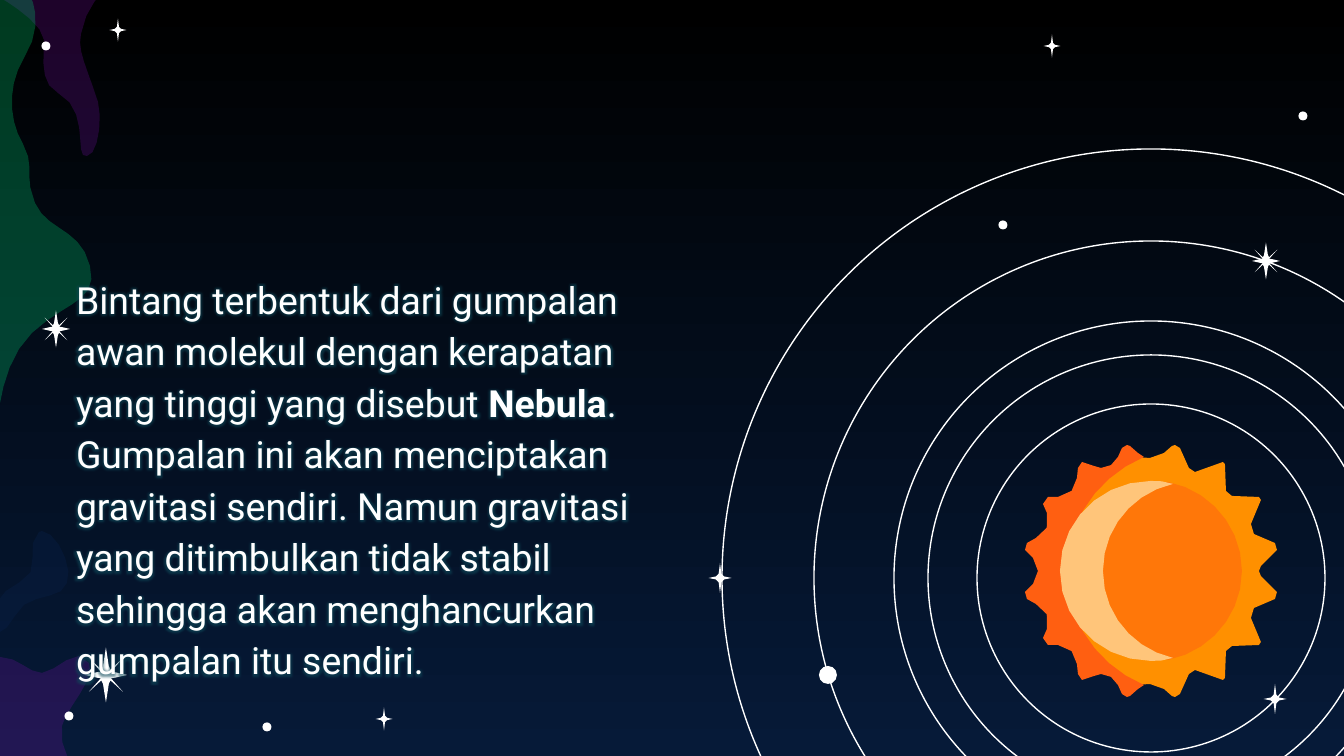
import math
from dataclasses import dataclass

import pptx
import pptx.dml.color
import pptx.enum.shapes
import pptx.enum.text
import pptx.oxml
import pptx.oxml.ns
import pptx.util

SCALE = 914400 / 134.4  # EMU per px
Point = tuple[float, float]


@dataclass(frozen=True)
class Theme:
    sky_top: str = "000000"
    sky_bottom: str = "061A38"
    white: str = "FFFFFF"
    purple: str = "740FA3"
    navy: str = "08214A"
    green: str = "00C970"
    sun_body: str = "FF9000"
    sun_rim: str = "FF5F11"
    sun_disc: str = "FF7709"
    sun_crescent: str = "FFC57A"
    glow: str = "0E4A5A"
    font: str = "Roboto"
    body_pt: int = 20
    orbit_pt: float = 0.75


@dataclass(frozen=True)
class Layer:
    """Filled outline; a mirrored one gives only its upper half."""
    outline: str
    color: str
    alpha: int = 100
    mirror_y: int | None = None


@dataclass(frozen=True)
class Star:
    x: int
    y: int
    width: int
    height: int
    quadrant: tuple[Point, ...]


@dataclass(frozen=True)
class Dot:
    x: int
    y: int
    size: int = 9


THEME = Theme()


def emu(px: float) -> int:
    return round(px * SCALE)


def rgb(color: str) -> pptx.dml.color.RGBColor:
    return pptx.dml.color.RGBColor.from_string(color)


def paint(shape, color: str, alpha: int = 100) -> None:
    shape.shadow.inherit = False
    shape.line.fill.background()
    shape.fill.solid()
    shape.fill.fore_color.rgb = rgb(color)
    if alpha < 100:
        tint = shape.element.spPr.find(".//" + pptx.oxml.ns.qn("a:srgbClr"))
        tint.append(pptx.oxml.parse_xml(
            f'<a:alpha {pptx.oxml.ns.nsdecls("a")} val="{alpha * 1000}"/>'))


def trace(outline: str) -> list[Point]:
    """Turn M, L and C commands in px into points, with more on longer curves."""
    words = iter(outline.split())
    points: list[Point] = []
    for command in words:
        count = 3 if command == "C" else 1
        ends = [(int(next(words)), int(next(words))) for _ in range(count)]
        if command != "C":
            points += ends
            continue
        curve = [points[-1], *ends]
        steps = max(1, min(7, round(math.dist(curve[0], curve[3]) / 12)))
        for step in range(1, steps + 1):
            t = step / steps
            weights = ((1 - t) ** 3, 3 * t * (1 - t) ** 2, 3 * t * t * (1 - t), t ** 3)
            points.append((sum(w * p[0] for w, p in zip(weights, curve)),
                           sum(w * p[1] for w, p in zip(weights, curve))))
    return points


def draw_polygon(slide, points: list[Point], color: str, alpha: int = 100) -> None:
    start, *rest = [(emu(x), emu(y)) for x, y in points]
    builder = slide.shapes.build_freeform(*start, scale=1.0)
    builder.add_line_segments(rest, close=True)
    paint(builder.convert_to_shape(), color, alpha)


def draw_layer(slide, layer: Layer) -> None:
    points = trace(layer.outline)
    if layer.mirror_y is not None:
        points += [(x, 2 * layer.mirror_y - y) for x, y in reversed(points[1:-1])]
    draw_polygon(slide, points, layer.color, layer.alpha)


def draw_star(slide, star: Star) -> None:
    right = [*star.quadrant, (1, 0), *((x, -y) for x, y in reversed(star.quadrant[1:]))]
    unit = right + [(-x, -y) for x, y in right]
    draw_polygon(slide, [(star.x + x * star.width / 2, star.y + y * star.height / 2)
                         for x, y in unit], THEME.white)


def add_circle(slide, x: int, y: int, size: int):
    return slide.shapes.add_shape(pptx.enum.shapes.MSO_SHAPE.OVAL, emu(x - size / 2),
                                  emu(y - size / 2), emu(size), emu(size))


def draw_orbit(slide, radius: int) -> None:
    orbit = add_circle(slide, 1151, 578, 2 * radius)
    orbit.shadow.inherit = False
    orbit.fill.background()
    orbit.line.color.rgb = rgb(THEME.white)
    orbit.line.width = pptx.util.Pt(THEME.orbit_pt)


def draw_story(slide, pieces: list[tuple[str, bool]]) -> None:
    story = slide.shapes.add_textbox(emu(63), emu(257), emu(593), emu(433)).text_frame
    frame_format = {"word_wrap": True,
                    "vertical_anchor": pptx.enum.text.MSO_ANCHOR.TOP,
                    **{f"margin_{side}": emu(13) for side in ("left", "top", "right", "bottom")}}
    for name, value in frame_format.items():
        setattr(story, name, value)
    paragraph = story.paragraphs[0]
    paragraph.line_spacing = 1.15
    for text, bold in pieces:
        run = paragraph.add_run()
        run.text = text
        font_format = {"name": THEME.font, "size": pptx.util.Pt(THEME.body_pt), "bold": bold}
        for name, value in font_format.items():
            setattr(run.font, name, value)
        run.font.color.rgb = rgb(THEME.white)
        # Soft glow behind the letters
        ink = run._r.rPr.find(pptx.oxml.ns.qn("a:solidFill"))
        ink.addnext(pptx.oxml.parse_xml(
            f'<a:effectLst {pptx.oxml.ns.nsdecls("a")}><a:glow rad="{emu(9)}">'
            f'<a:srgbClr val="{THEME.glow}"><a:alpha val="60000"/></a:srgbClr>'
            '</a:glow></a:effectLst>'))


# Nebula clouds along the left edge
CLOUDS = [
    Layer("M 98 -3 L 4 0 C 4 0 43 23 44 40 C 44 58 39 83 58 93 C 87 108 77 149 83 155 "
          "C 85 156 85 156 87 156 C 97 156 103 122 98 102 C 87 67 77 51 81 34 "
          "C 83 15 98 -3 98 -3", THEME.purple, 26),
    Layer("M 42 531 C 40 531 39 532 39 532 C 24 542 43 574 20 582 C -3 591 -9 616 -9 616 "
          "C -11 625 -7 632 0 632 C 4 632 9 626 15 616 C 26 591 62 602 67 583 "
          "C 74 567 56 531 42 531", THEME.navy, 35),
    Layer("M 79 656 C 67 656 52 673 42 673 C 28 673 19 657 0 657 C -1 657 -3 659 -4 659 "
          "L -4 761 L 70 761 C 70 761 58 742 62 726 C 65 710 98 677 89 663 "
          "C 86 657 83 656 79 656", THEME.purple, 26),
    Layer("M -4 -4 L -4 434 L -3 434 C -3 434 -3 366 32 333 C 66 301 99 302 90 266 "
          "C 81 228 47 231 35 203 C 23 173 36 168 23 144 C 9 121 7 86 24 58 "
          "C 42 31 35 3 30 -4", THEME.green, 29),
]

# Sun: upper halves, mirrored on its horizontal axis
SUN_AXIS = 571
BODY = ("M 1070 571 L 1070 525 L 1097 482 L 1134 457 L 1150 458 "
        "C 1156 458 1161 456 1164 453 L 1172 446 L 1175 445 "
        "C 1177 445 1179 445 1180 448 L 1189 468 C 1189 470 1192 472 1195 472 "
        "L 1223 462 L 1225 464 L 1226 491 "
        "C 1226 494 1228 496 1232 496 L 1259 497 L 1261 500 L 1251 524 "
        "C 1250 528 1251 532 1254 534 L 1275 543 C 1278 544 1278 548 1277 550 L 1261 566 "
        "C 1260 567 1259 569 1259 571")
RIM = ("M 1067 571 C 1067 519 1099 476 1144 457 L 1138 453 L 1130 446 "
       "L 1127 445 C 1125 445 1123 445 1122 448 L 1118 457 "
       "C 1115 464 1108 468 1101 468 L 1094 466 L 1082 462 "
       "C 1079 462 1078 465 1078 468 L 1077 478 "
       "C 1077 488 1069 496 1058 497 L 1048 497 C 1044 497 1042 501 1043 504 L 1047 513 "
       "C 1051 523 1046 534 1036 538 L 1027 543 C 1024 544 1024 548 1025 550 L 1033 558 "
       "C 1037 562 1038 567 1038 571")
DISC = "M 1102 571 C 1102 530 1130 493 1168 482 C 1210 490 1242 527 1242 571"
CRESCENT = ("M 1103 571 C 1103 528 1133 493 1173 484 C 1165 481 1158 481 1151 481 "
            "C 1101 481 1060 521 1060 571")
SUN = [Layer(outline, color, mirror_y=SUN_AXIS) for outline, color in (
    (BODY, THEME.sun_body), (RIM, THEME.sun_rim),
    (DISC, THEME.sun_disc), (CRESCENT, THEME.sun_crescent))]

# Stars: points from the top tip to just before the right tip
FOUR = ((0, -1), (0.12, -0.28), (0.36, -0.1))
EIGHT = ((0, -1), (0.14, -0.32), (0.22, -0.2), (0.81, -0.61), (0.24, -0.12), (0.43, -0.1))
STARS = [Star(*place, 28, 37, EIGHT) for place in ((56, 329), (1266, 261))]
STARS += [Star(106, 675, 42, 55, EIGHT)]
STARS += [Star(*place, 23, 30, FOUR) for place in ((720, 578), (1275, 699))]
STARS += [Star(*place, 17, 23, FOUR) for place in ((384, 719), (1052, 46), (118, 30))]
DOTS = [Dot(69, 716), Dot(46, 46), Dot(1303, 116), Dot(1003, 225), Dot(267, 727),
        Dot(828, 675, 18)]
ORBIT_RADII = (174, 223, 257, 337, 429)
STORY = [
    ("Bintang terbentuk dari gumpalan awan molekul dengan kerapatan yang tinggi "
     "yang disebut ", False),
    ("Nebula", True),
    (". Gumpalan ini akan menciptakan gravitasi sendiri. Namun gravitasi yang ditimbulkan "
     "tidak stabil sehingga akan menghancurkan gumpalan itu sendiri.", False),
]


def main() -> None:
    deck = pptx.Presentation()
    deck.slide_width, deck.slide_height = emu(1344), emu(756)
    slide = deck.slides.add_slide(deck.slide_layouts[6])

    # Night sky
    sky = slide.background.fill
    sky.gradient()
    sky.gradient_angle = 270
    for stop, color in zip(sky.gradient_stops, (THEME.sky_top, THEME.sky_bottom)):
        stop.color.rgb = rgb(color)

    for radius in ORBIT_RADII:
        draw_orbit(slide, radius)
    for cloud in CLOUDS:
        draw_layer(slide, cloud)
    for star in STARS:
        draw_star(slide, star)
    for dot in DOTS:
        paint(add_circle(slide, dot.x, dot.y, dot.size), THEME.white)
    draw_story(slide, STORY)
    for layer in SUN:
        draw_layer(slide, layer)
    deck.save("out.pptx")


if __name__ == "__main__":
    main()
